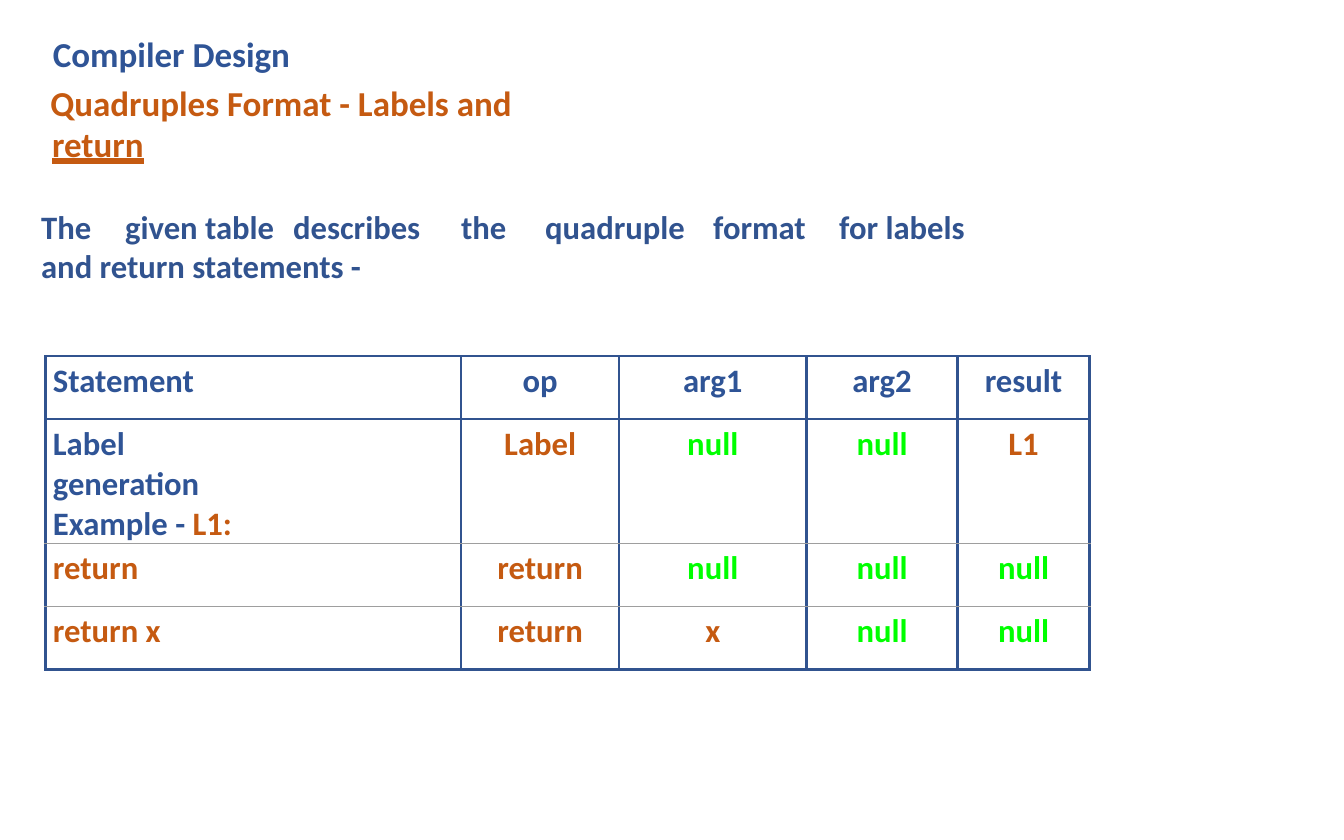
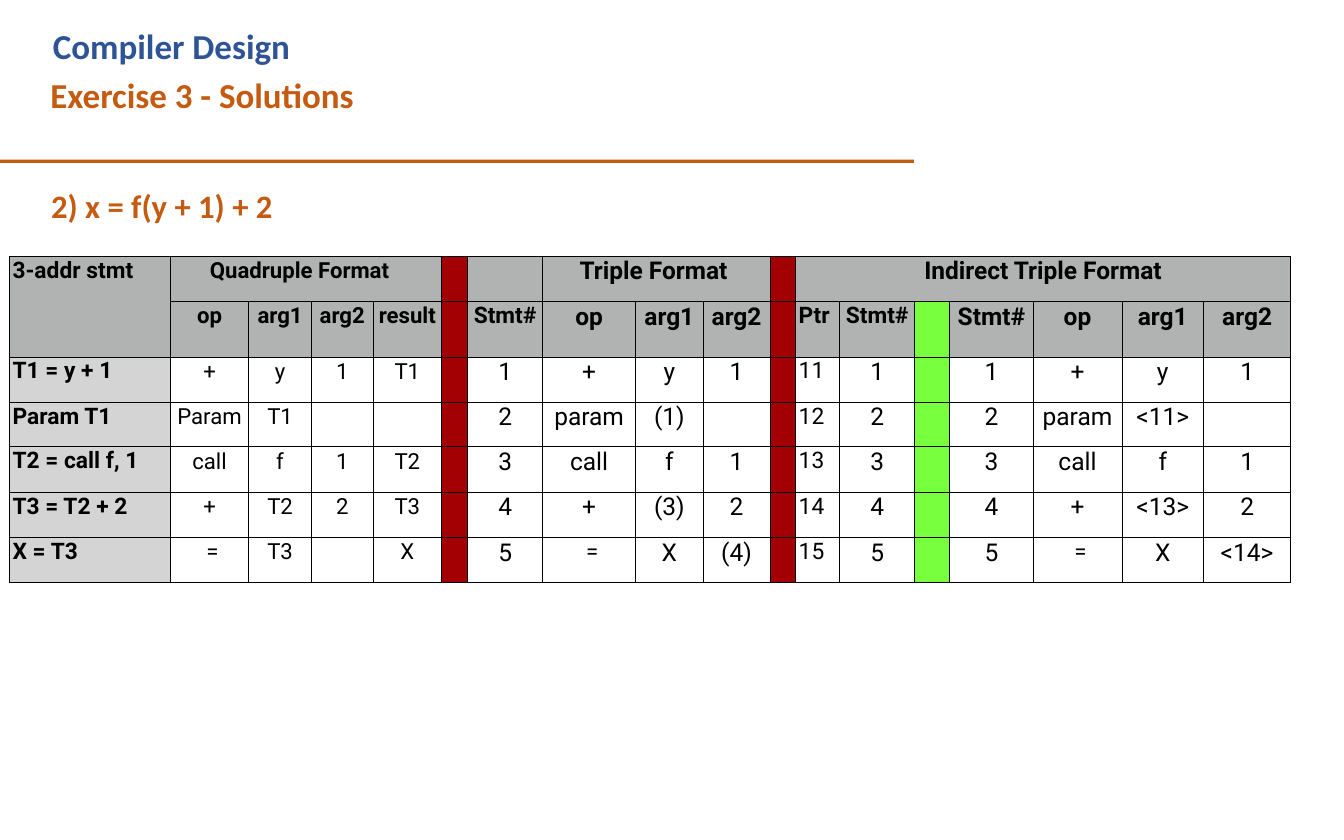
from lxml import etree
from pptx import Presentation
from pptx.dml.color import RGBColor
from pptx.enum import shapes, text
from pptx.oxml import ns
from pptx.util import Inches, Pt

NAVY = RGBColor(0x2F, 0x54, 0x96)
BLUE = RGBColor(0x31, 0x53, 0x8F)
RUST = RGBColor(0xC5, 0x5A, 0x11)
LIME = RGBColor(0x00, 0xFF, 0x00)
GREY = RGBColor(0x9E, 0x9E, 0x9E)
HEADER = RGBColor(0xB0, 0xB3, 0xB2)
STATEMENT = RGBColor(0xD4, 0xD4, 0xD4)
DIVIDER = RGBColor(0xA3, 0x00, 0x03)
POINTER = RGBColor(0x78, 0xFF, 0x3E)
BLACK = RGBColor(0, 0, 0)

COURSE = "Compiler Design"
LABELS_TITLE = "Quadruples Format - Labels and"
INTRO = ("The\tgiven table\tdescribes\tthe\tquadruple\tformat\t"
         "for labels and return statements -")
INTRO_TABS = [1.49, 3.49, 5.49, 6.49, 8.49, 9.99]
LABEL_COLUMNS = [4.95, 1.88, 2.23, 1.8, 1.57]
LABEL_HEIGHTS = [0.75, 1.48, 0.75, 0.75]
LABEL_ROWS = [
    ["Statement", "op", "arg1", "arg2", "result"],
    ["Label generation Example - L1:", "Label", "null", "null", "L1"],
    ["return", "return", "null", "null", "null"],
    ["return x", "return", "x", "null", "null"],
]

SOLUTION_TITLE = "Exercise 3 - Solutions"
EXPRESSION = "2) x = f(y + 1) + 2"
SOLUTION_COLUMNS = [1.92, 0.93, 0.75, 0.73, 0.82, 0.31, 0.89, 1.11, 0.8,
                    0.8, 0.3, 0.53, 0.89, 0.42, 0.99, 1.06, 0.97, 1.04]
SOLUTION_HEIGHTS = [0.54, 0.66, 0.54, 0.53, 0.54, 0.54, 0.54]
SOLUTION_ROWS = [
    ["3-addr stmt", "Quadruple Format", "", "", "", "", "", "Triple Format", "", "",
     "", "Indirect Triple Format", "", "", "", "", "", ""],
    ["", "op", "arg1", "arg2", "result", "", "Stmt#", "op", "arg1", "arg2",
     "", "Ptr", "Stmt#", "", "Stmt#", "op", "arg1", "arg2"],
    ["T1 = y + 1", "+", "y", "1", "T1", "", "1", "+", "y", "1",
     "", "11", "1", "", "1", "+", "y", "1"],
    ["Param T1", "Param", "T1", "", "", "", "2", "param", "(1)", "",
     "", "12", "2", "", "2", "param", "<11>", ""],
    ["T2 = call f, 1", "call", "f", "1", "T2", "", "3", "call", "f", "1",
     "", "13", "3", "", "3", "call", "f", "1"],
    ["T3 = T2 + 2", "+", "T2", "2", "T3", "", "4", "+", "(3)", "2",
     "", "14", "4", "", "4", "+", "<13>", "2"],
    ["X = T3", "=", "T3", "", "X", "", "5", "=", "X", "(4)",
     "", "15", "5", "", "5", "=", "X", "<14>"],
]
SOLUTION_SPANS = [(0, 0, 1, 0), (0, 1, 0, 4), (0, 7, 0, 9), (0, 11, 0, 17)]
GROUP_INDENTS = {(0, 1): 0.47, (0, 7): 0.44}


def write(frame, *runs, size=28, font="Calibri", colour=NAVY, bold=True, align=None,
          indent=0, first=0, before=None, spacing=None, tabs=(), underline=None,
          new=False):
    paragraph = frame.add_paragraph() if new else frame.paragraphs[0]
    properties = paragraph._p.get_or_add_pPr()
    properties.set("marL", str(Inches(indent)))
    properties.set("indent", str(Inches(first)))
    if tabs:
        stops = etree.SubElement(properties, ns.qn("a:tabLst"))
        for stop in tabs:
            etree.SubElement(stops, ns.qn("a:tab"), pos=str(Inches(stop)), algn="l")
    paragraph.alignment = align
    paragraph.line_spacing = spacing
    if before:
        paragraph.space_before = Pt(before)
    for words in runs:
        words, tint = words if isinstance(words, tuple) else (words, colour)
        run = paragraph.add_run()
        run.text = words
        run.font.size = Pt(size)
        run.font.name = font
        run.font.bold = bold
        run.font.underline = underline
        run.font.color.rgb = tint


def add_text(slide, left, top, width, height, inset=0.01):
    frame = slide.shapes.add_textbox(*map(Inches, (left, top, width, height))).text_frame
    frame.word_wrap = True
    frame.margin_left = frame.margin_right = frame.margin_bottom = 0
    frame.margin_top = Inches(inset)
    return frame


def set_borders(cell, left, right, top, bottom):
    properties = cell._tc.get_or_add_tcPr()
    for side, (colour, width) in zip("LRTB", (left, right, top, bottom)):
        line = etree.SubElement(properties, ns.qn(f"a:ln{side}"), w=str(Pt(width)))
        fill = etree.SubElement(line, ns.qn("a:solidFill"))
        etree.SubElement(fill, ns.qn("a:srgbClr"), val=str(colour))


def add_grid(slide, left, top, columns, heights):
    table = slide.shapes.add_table(
        len(heights), len(columns), Inches(left), Inches(top),
        Inches(sum(columns)), Inches(sum(heights))).table
    table.first_row = table.horz_banding = False
    for column, width in zip(table.columns, columns):
        column.width = Inches(width)
    for row, height in zip(table.rows, heights):
        row.height = Inches(height)
    for cell in table.iter_cells():
        cell.margin_left = cell.margin_right = cell.margin_bottom = 0
    return table


def label_runs(row, column, words):
    if row == 0:
        return [words]
    if words == "null":
        return [(words, LIME)]
    if words.endswith("L1:"):
        return [words.removesuffix("L1:"), ("L1:", RUST)]
    return [(words, RUST)]


def build_labels(slide):
    title = add_text(slide, 0.59, 0.29, 5.52, 1.19, inset=0.1)
    write(title, COURSE, size=30, indent=0.04)
    write(title, LABELS_TITLE, size=30, colour=RUST, indent=0.01, before=6, new=True)
    body = add_text(slide, -0.01, 1.45, 12.11, 1.96)
    write(body, "return", size=30, colour=RUST, indent=0.63,
          underline=text.MSO_UNDERLINE.HEAVY_LINE)
    write(body, INTRO, colour=BLUE, indent=0.5, before=35.8, spacing=1.0,
          tabs=INTRO_TABS, new=True)

    table = add_grid(slide, 0.54, 4.24, LABEL_COLUMNS, LABEL_HEIGHTS)
    thick, thin = (BLUE, 2.25), (GREY, 0.75)
    for row, entries in enumerate(LABEL_ROWS):
        for column, words in enumerate(entries):
            cell = table.cell(row, column)
            cell.margin_top = Inches(0.06)
            set_borders(cell, thick, thick, thin if row > 1 else thick,
                        thin if row in (1, 2) else thick)
            cell.fill.background()
            write(cell.text_frame, *label_runs(row, column, words),
                  indent=0 if column else 0.09,
                  align=text.PP_ALIGN.CENTER if column else text.PP_ALIGN.LEFT)
    table.cell(1, 0).margin_right = Inches(2.45)


def solution_fill(row, column):
    if column in (5, 10):
        return DIVIDER
    if column == 13 and row:
        return POINTER
    if row < 2:
        return HEADER
    return None if column else STATEMENT


def solution_size(row, column, words):
    if column in (0, 11) and words != "Indirect Triple Format":
        return 19.5
    if row == 1 and column in (6, 12):
        return 19.5
    return 19 if column < 5 or words == "=" else 21


def build_solution(slide):
    title = add_text(slide, 0.59, 0.2, 3.64, 1.19)
    write(title, COURSE + " ", (SOLUTION_TITLE, RUST), size=30,
          indent=0.01, first=0.03, spacing=1.17)
    rule = slide.shapes.add_shape(shapes.MSO_SHAPE.RECTANGLE, 0, Inches(1.9),
                                  Inches(10.88), Inches(0.04))
    rule.shadow.inherit = False
    rule.fill.solid()
    rule.fill.fore_color.rgb = RUST
    rule.line.fill.background()

    table = add_grid(slide, 0.11, 3.05, SOLUTION_COLUMNS, SOLUTION_HEIGHTS)
    for row, entries in enumerate(SOLUTION_ROWS):
        for column, words in enumerate(entries):
            cell = table.cell(row, column)
            set_borders(cell, *[(BLACK, 0.75)] * 4)
            fill = solution_fill(row, column)
            if fill is None:
                cell.fill.background()
            else:
                cell.fill.solid()
                cell.fill.fore_color.rgb = fill
            size = solution_size(row, column, words)
            cell.margin_top = Inches(0.02 if size == 19 else 0.01)
            if not words:
                continue
            left = column == 0 or (column == 11 and row)
            indent = GROUP_INDENTS.get((row, column), 0.04 if left else 0)
            if words == "=":
                indent = 0.07
            centred = words == "=" or not indent
            write(cell.text_frame, words, size=size, font="Roboto", colour=BLACK,
                  bold=row < 2 or column == 0, indent=indent,
                  align=text.PP_ALIGN.CENTER if centred else text.PP_ALIGN.LEFT)
    for top, left, bottom, right in SOLUTION_SPANS:
        table.cell(top, left).merge(table.cell(bottom, right))

    expression = add_text(slide, 0.6, 2.2, 2.66, 0.49)
    write(expression, EXPRESSION, colour=RUST, indent=0.01)


def main():
    deck = Presentation()
    deck.slide_width, deck.slide_height = Inches(16), Inches(10)
    for build in (build_labels, build_solution):
        build(deck.slides.add_slide(deck.slide_layouts[6]))
    deck.save("out.pptx")


if __name__ == "__main__":
    main()
